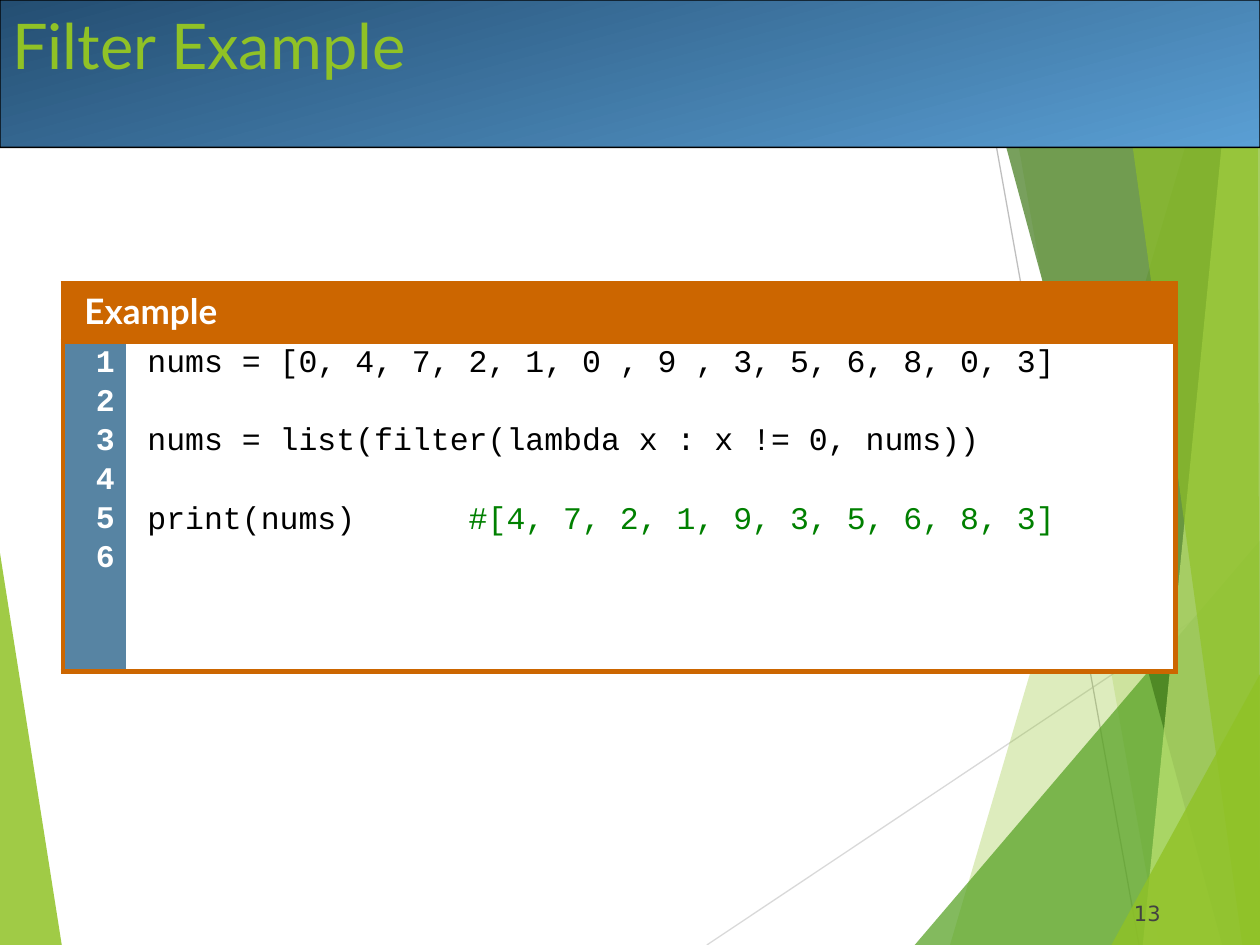
from dataclasses import dataclass
from typing import Optional

from lxml.etree import SubElement
from pptx import Presentation
from pptx.dml.color import RGBColor
from pptx.enum.shapes import MSO_CONNECTOR, MSO_SHAPE
from pptx.enum.text import MSO_ANCHOR, PP_ALIGN
from pptx.oxml import parse_xml
from pptx.oxml.ns import nsdecls, qn
from pptx.util import Inches, Pt

COLORS = {
    "lime": "90C226", "green": "54A021", "forest": "3F7819", "pale": "C0E474",
    "banner_dark": "244E72", "banner_light": "5A9FD4", "black": "000000",
    "white": "FFFFFF", "orange": "CC6600", "gutter": "5784A3",
    "comment": "008000", "number": "424242", "ray": "D9D9D9", "ray_dark": "BFBFBF",
}


@dataclass
class Facet:
    points: list[tuple[float, float]]
    color: str
    opacity: int  # percent


@dataclass
class Ray:
    start: tuple[float, float]
    end: tuple[float, float]
    color: str


@dataclass
class TextStyle:
    font: str
    size: float
    color: str
    bold: bool = False
    align: PP_ALIGN = PP_ALIGN.LEFT
    line_spacing: Optional[float] = None
    space_before: float = 0  # for every paragraph after the first


LEFT_FACET = Facet([(0, 4.39), (0.49, 7.5), (0, 7.5)], "lime", 85)
RAYS = [
    Ray((5.61, 7.5), (10, 4.57), "ray"),
    Ray((7.7, 0), (9.04, 7.5), "ray_dark"),
]
RIGHT_FACETS = [
    Facet([(9.75, 0), (7.54, 7.5), (10, 7.5), (10, 0)], "lime", 30),
    Facet([(7.88, 0), (9.2, 7.5), (10, 7.5), (10, 0)], "lime", 20),
    Facet([(7.26, 7.5), (10, 4.29), (10, 7.5)], "green", 72),
    Facet([(7.67, 0), (9.7, 7.5), (10, 7.5), (10, 0)], "forest", 70),
    Facet([(9.81, 0), (9.07, 7.5), (10, 7.5), (10, 0)], "pale", 70),
    Facet([(8.83, 0), (9.86, 7.5), (10, 7.5), (9.98, 0)], "lime", 65),
    Facet([(8.82, 7.5), (10, 5.35), (10, 7.5)], "lime", 80),
]

# Each code line is a list of (text, colour) runs
CODE = [
    [("nums = [0, 4, 7, 2, 1, 0 , 9 , 3, 5, 6, 8, 0, 3]", "black")],
    [("nums = list(filter(lambda x : x != 0, nums))", "black")],
    [("print(nums)      ", "black"), ("#[4, 7, 2, 1, 9, 3, 5, 6, 8, 3]", "comment")],
]

TITLE = TextStyle("Lato", 36, "lime")
PAGE = TextStyle("DejaVu Sans", 12, "number")
HEADER = TextStyle("Lato", 20, "white", bold=True)
LINE_NO = TextStyle("Courier New", 18, "white", True, PP_ALIGN.RIGHT, 0.87, 4.5)
# Code stands on every second numbered line
CODE_TEXT = TextStyle("Courier New", 18, "black", line_spacing=0.87, space_before=27)


def rgb(name: str) -> RGBColor:
    return RGBColor.from_string(COLORS[name])


def add_facet(slide, facet: Facet) -> None:
    points = [(Inches(x), Inches(y)) for x, y in facet.points]
    builder = slide.shapes.build_freeform(*points[0])
    builder.add_line_segments(points[1:], close=True)
    sp = builder.convert_to_shape()
    sp.shadow.inherit = False
    sp.line.fill.background()
    sp.fill.solid()
    sp.fill.fore_color.rgb = rgb(facet.color)
    clr = sp.fill._xPr.find(qn("a:solidFill")).find(qn("a:srgbClr"))
    SubElement(clr, qn("a:alpha")).set("val", str(facet.opacity * 1000))


def add_ray(slide, ray: Ray) -> None:
    ends = [Inches(v) for v in (*ray.start, *ray.end)]
    line = slide.shapes.add_connector(MSO_CONNECTOR.STRAIGHT, *ends)
    line.line.color.rgb = rgb(ray.color)
    line.line.width = Pt(0.75)
    SubElement(line._element.spPr, qn("a:effectLst"))


def add_banner(slide) -> None:
    sp = slide.shapes.add_shape(
        MSO_SHAPE.ROUNDED_RECTANGLE, 0, 0, Inches(10), Inches(1.17))
    sp.adjustments[0] = 0.001
    sp.shadow.inherit = False
    sp.fill.gradient()
    sp.fill.gradient_angle = 285
    for stop, name in zip(sp.fill.gradient_stops, ("banner_dark", "banner_light")):
        stop.color.rgb = rgb(name)
    sp.line.color.rgb = rgb("black")
    sp.line.width = Pt(0.75)


def write(tf, lines: list[list[tuple[str, str]]], style: TextStyle) -> None:
    for i, runs in enumerate(lines):
        p = tf.add_paragraph() if i else tf.paragraphs[0]
        p.alignment = style.align
        p.line_spacing = style.line_spacing
        p.space_before = Pt(style.space_before if i else 0)
        p.font.name, p.font.size = style.font, Pt(style.size)
        p.font.bold = style.bold
        for text, color in runs:
            r = p.add_run()
            r.text = text
            r.font.color.rgb = rgb(color)


def add_text(slide, box: tuple, text: str, style: TextStyle,
             anchor: MSO_ANCHOR, inset: tuple[float, float]) -> None:
    tf = slide.shapes.add_textbox(*(Inches(v) for v in box)).text_frame
    tf.word_wrap = True
    tf.vertical_anchor = anchor
    tf.margin_left = tf.margin_right = Inches(inset[0])
    tf.margin_top = tf.margin_bottom = Inches(inset[1])
    write(tf, [[(text, style.color)]], style)


def format_cell(cell, fill: str, left: float, right: float, open_side: str = "") -> None:
    cell.margin_left, cell.margin_right = Inches(left), Inches(right)
    cell.margin_top = cell.margin_bottom = Inches(0.05)
    cell.fill.solid()
    cell.fill.fore_color.rgb = rgb(fill)
    tc_pr = cell._tc.get_or_add_tcPr()
    for i, side in enumerate("LRTB"):
        paint = ("<a:noFill/>" if side == open_side else
                 f'<a:solidFill><a:srgbClr val="{COLORS["orange"]}"/></a:solidFill>')
        width = 0 if side == open_side else Pt(3)
        tc_pr.insert(i, parse_xml(
            f'<a:ln{side} {nsdecls("a")} w="{width}">{paint}</a:ln{side}>'))


def add_listing(slide) -> None:
    table = slide.shapes.add_table(
        2, 2, Inches(0.5), Inches(2.25), Inches(8.83), Inches(3.08)).table
    table.first_row = table.horz_banding = False
    for column, width in zip(table.columns, (0.5, 8.33)):
        column.width = Inches(width)
    for row, height in zip(table.rows, (0.46, 2.62)):
        row.height = Inches(height)

    header, header_end = table.cell(0, 0), table.cell(0, 1)
    header.merge(header_end)
    for cell in (header, header_end):
        format_cell(cell, "orange", 0.17, 0.05)
    write(header.text_frame, [[("Example", "white")]], HEADER)

    gutter, code = table.cell(1, 0), table.cell(1, 1)
    format_cell(gutter, "gutter", 0.05, 0.09, open_side="R")
    format_cell(code, "white", 0.17, 0.18, open_side="L")
    write(gutter.text_frame, [[(str(n), "white")] for n in range(1, 7)], LINE_NO)
    write(code.text_frame, CODE, CODE_TEXT)


def main() -> None:
    prs = Presentation()
    prs.slide_width, prs.slide_height = Inches(10), Inches(7.5)
    slide = prs.slides.add_slide(prs.slide_layouts[6])

    # Background facets and rays
    add_facet(slide, LEFT_FACET)
    for ray in RAYS:
        add_ray(slide, ray)
    for facet in RIGHT_FACETS:
        add_facet(slide, facet)

    # Banner, page number and title
    add_banner(slide)
    add_text(slide, (9, 6.95, 0.83, 0.4), "13", PAGE, MSO_ANCHOR.BOTTOM, (0, 0))
    add_text(slide, (0, 0, 9, 1.25), "Filter Example", TITLE, MSO_ANCHOR.TOP, (0.1, 0.05))

    # Code listing
    add_listing(slide)
    prs.save("out.pptx")


if __name__ == "__main__":
    main()
